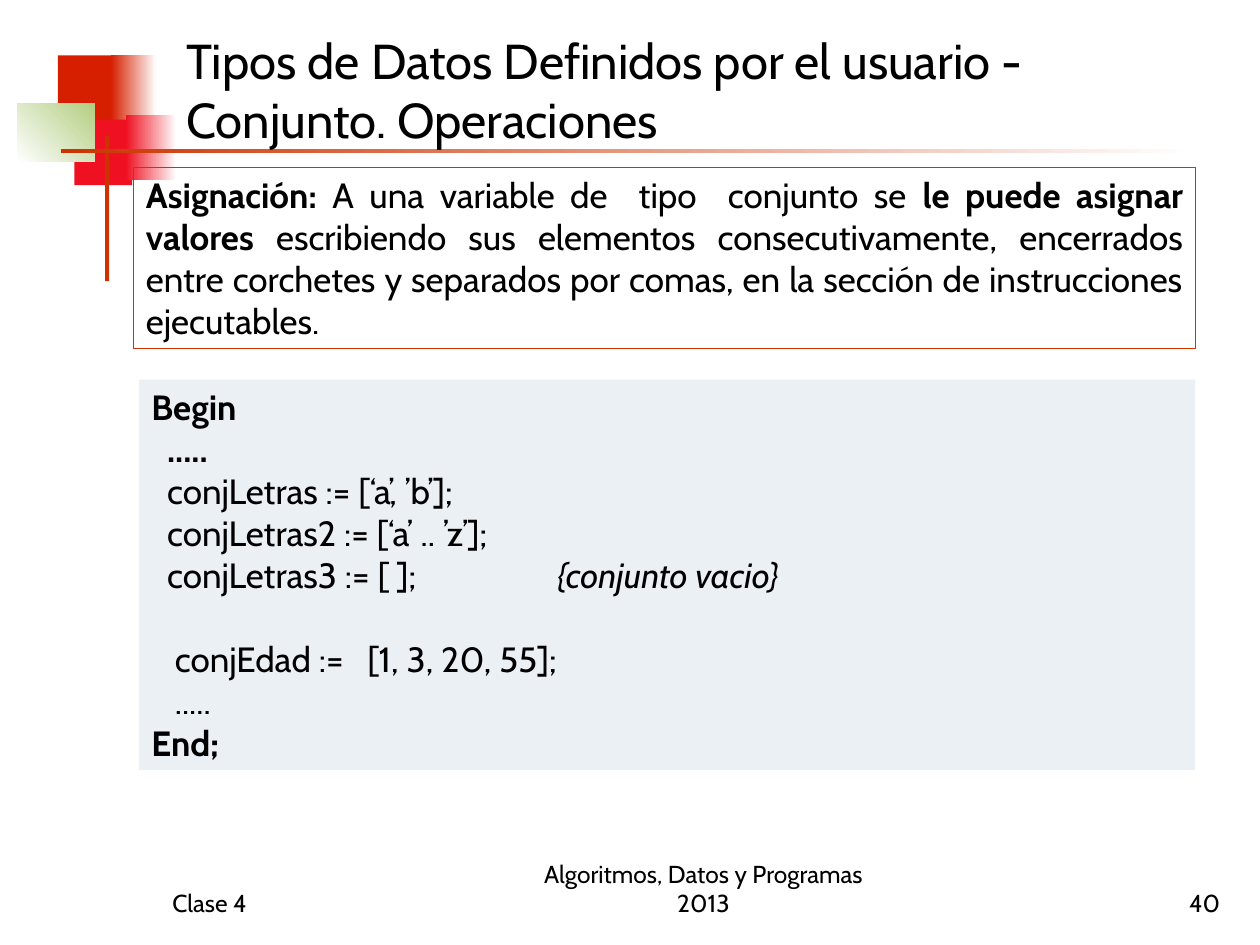
from lxml import etree
from pptx import Presentation
from pptx.dml.color import RGBColor
from pptx.enum import shapes, text
from pptx.oxml import ns
from pptx.util import Pt

RED, CRIMSON, RUST, WHITE = "D61F00", "EF1121", "CC3300", "FFFFFF"
LEFT, CENTER, RIGHT, JUSTIFY = (
    text.PP_ALIGN.LEFT, text.PP_ALIGN.CENTER, text.PP_ALIGN.RIGHT, text.PP_ALIGN.JUSTIFY)
TOP, MIDDLE, BOTTOM = text.MSO_ANCHOR.TOP, text.MSO_ANCHOR.MIDDLE, text.MSO_ANCHOR.BOTTOM


def color(hex_code):
    return RGBColor.from_string(hex_code)


def write(shape, paragraphs, size, align=LEFT, anchor=TOP):
    """Fill a shape with paragraphs, each a list of (words, style) runs; style is "", "b" or "i"."""
    frame = shape.text_frame
    frame.word_wrap = True
    frame.vertical_anchor = anchor
    for index, runs in enumerate(paragraphs):
        paragraph = frame.paragraphs[0] if index == 0 else frame.add_paragraph()
        paragraph.alignment = align
        for words, style in runs:
            run = paragraph.add_run()
            run.text = words
            run.font.name = "Cabin"
            run.font.size = Pt(size)
            run.font.bold = style == "b"
            run.font.italic = style == "i"
            run.font.color.rgb = color("000000")
    return frame


deck = Presentation()
deck.slide_width, deck.slide_height = Pt(720), Pt(540)
slide = deck.slides.add_slide(deck.slide_layouts[6])

# Corner decoration: left, top, width, height, colours, gradient angle
decoration = [
    (33.1, 31.7, 34.6, 37.4, [RED], 0),
    (63.4, 31.7, 25.9, 37.4, [RED, WHITE], 0),
    (42.5, 68.4, 33.1, 37.4, [CRIMSON], 0),
    (72, 65.5, 28.8, 37.4, [CRIMSON, WHITE], 0),
    (10, 59, 44, 33.6, [WHITE, "B3CE82"], 45),
    (60, 77.8, 2.4, 82.8, [RUST], 0),
    (34.8, 85.2, 648, 2.2, [RUST, WHITE], 0),
]
for left, top, width, height, colors, angle in decoration:
    block = slide.shapes.add_shape(
        shapes.MSO_SHAPE.RECTANGLE, Pt(left), Pt(top), Pt(width), Pt(height))
    block.shadow.inherit = False
    block.line.fill.background()
    if len(colors) == 1:
        block.fill.solid()
        block.fill.fore_color.rgb = color(colors[0])
    else:
        block.fill.gradient()
        block.fill.gradient_angle = angle
        for position, (stop, shade) in enumerate(zip(block.fill.gradient_stops, colors)):
            stop.position = position
            stop.color.rgb = color(shade)

title = slide.shapes.add_textbox(Pt(99.4), Pt(18), Pt(582), Pt(66.2))
write(title, [[("Tipos de Datos Definidos por el usuario - Conjunto. Operaciones", "")]],
      28, anchor=MIDDLE)

definition = slide.shapes.add_shape(
    shapes.MSO_SHAPE.RECTANGLE, Pt(76.3), Pt(95.6), Pt(607), Pt(103.5))
definition.shadow.inherit = False
definition.fill.background()
definition.line.color.rgb = color(RUST)
definition.line.width = Pt(0.75)
write(definition, [[
    ("Asignación: ", "b"),
    ("A una variable de  tipo  conjunto se ", ""),
    ("le puede asignar valores ", "b"),
    ("escribiendo sus elementos consecutivamente, encerrados entre corchetes "
     "y separados por comas, en la sección de instrucciones ejecutables.", ""),
]], 20, JUSTIFY)

code = slide.shapes.add_shape(
    shapes.MSO_SHAPE.RECTANGLE, Pt(79.4), Pt(216.9), Pt(603.6), Pt(223.2))
code.shadow.inherit = False
code.fill.solid()
code.fill.fore_color.rgb = color("EBF0F5")
code.line.fill.background()
listing = write(code, [
    [("Begin", "b")],
    [("  .....", "b")],
    [("  conjLetras := [‘a’, ’b’];", "")],
    [("  conjLetras2 := [‘a’ .. ’z’];", "")],
    [("  conjLetras3 := [ ];\t", ""), ("{conjunto vacio}", "i")],
    [("   conjEdad :=   [1, 3, 20, 55];", "")],
    [("   .....", "")],
    [("End;", "b")],
], 20)
empty_set, ages = listing.paragraphs[4:6]
tabs = etree.SubElement(empty_set._p.get_or_add_pPr(), ns.qn("a:tabLst"))
etree.SubElement(tabs, ns.qn("a:tab"), pos=str(Pt(232)), algn="l")
ages.space_before = Pt(24)

footers = [
    (91.4, 150, "Clase 4", LEFT),
    (288, 228, "Algoritmos, Datos y Programas 2013", CENTER),
    (554.4, 150, "40", RIGHT),
]
for left, width, words, align in footers:
    footer = slide.shapes.add_textbox(Pt(left), Pt(491.8), Pt(width), Pt(36))
    write(footer, [[(words, "")]], 14, align, BOTTOM)

deck.save("out.pptx")
